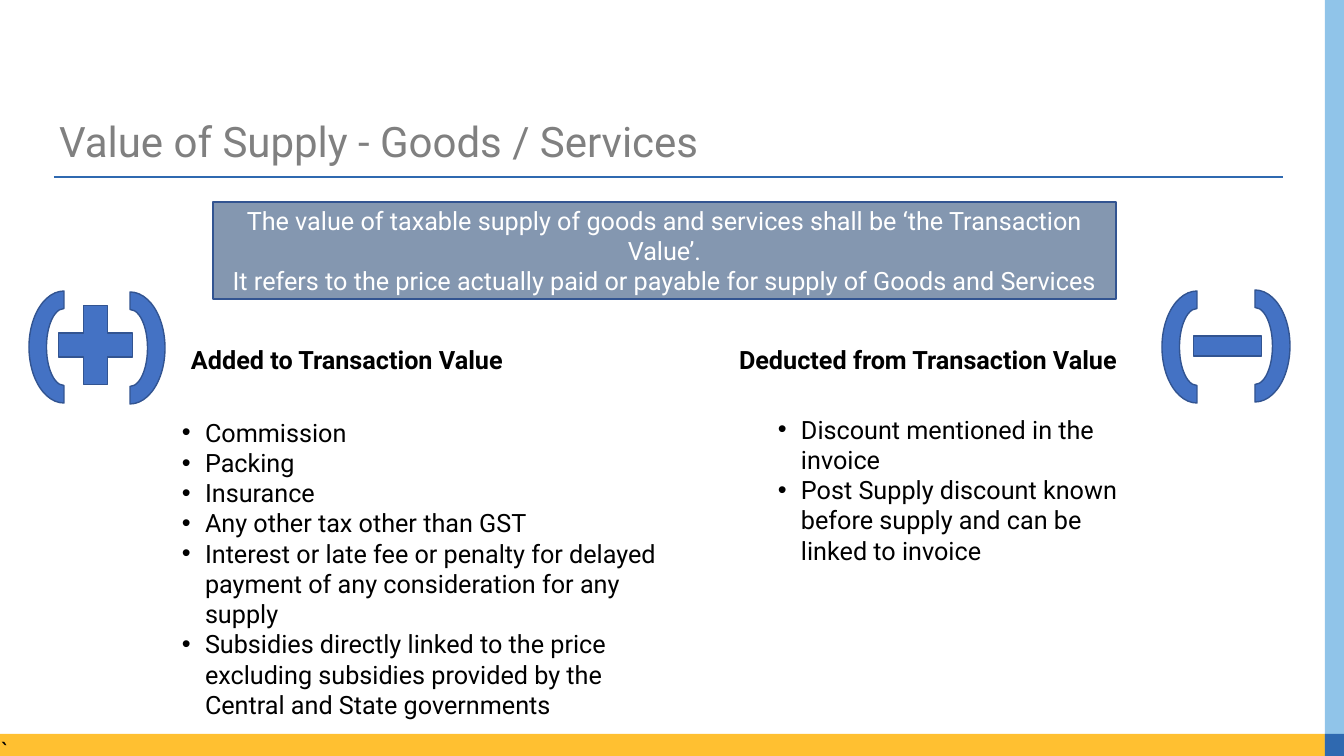
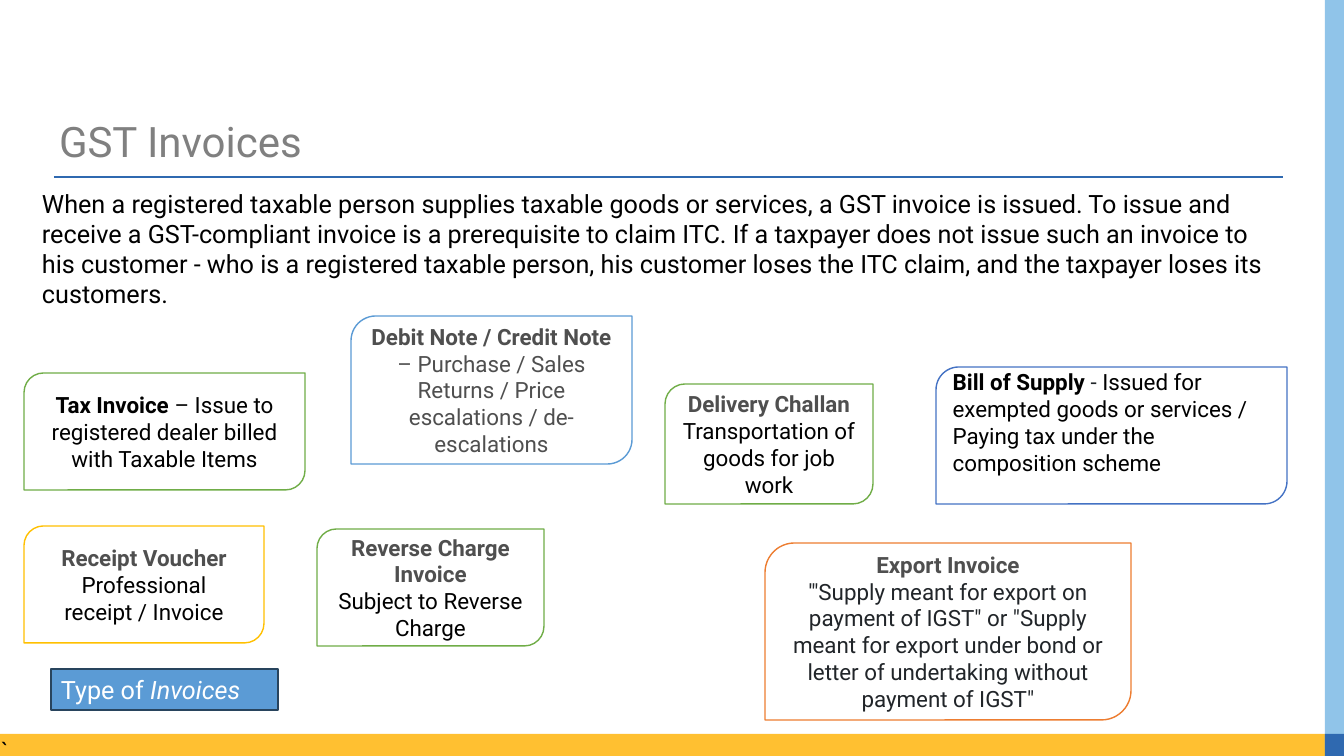
from lxml import etree
from pptx import Presentation
from pptx import util as u
from pptx.dml.color import RGBColor
from pptx.enum import shapes, text
from pptx.oxml.ns import qn

PX = 914400 / 100.8
FONT = "Roboto"
BLACK = RGBColor(0x00, 0x00, 0x00)
WHITE = RGBColor(0xFF, 0xFF, 0xFF)
GREY = RGBColor(0x80, 0x80, 0x80)
DARK = RGBColor(0x4F, 0x4F, 0x4F)
INK = RGBColor(0x21, 0x25, 0x29)
SLATE = RGBColor(0x84, 0x97, 0xB0)
BLUE = RGBColor(0x44, 0x72, 0xC4)
BLUE_EDGE = RGBColor(0x32, 0x54, 0x91)
SKY = RGBColor(0x5B, 0x9B, 0xD5)
SKY_EDGE = RGBColor(0x28, 0x44, 0x5D)
GREEN = RGBColor(0x70, 0xAD, 0x47)
ORANGE = RGBColor(0xED, 0x7D, 0x31)
GOLD = RGBColor(0xFF, 0xC0, 0x00)
BAND_GOLD = RGBColor(0xFF, 0xC0, 0x31)
BAND_SKY = RGBColor(0x90, 0xC4, 0xE9)
BAND_BLUE = RGBColor(0x2F, 0x69, 0xB0)

SHAPE = shapes.MSO_SHAPE
LEFT, CENTER = text.PP_ALIGN.LEFT, text.PP_ALIGN.CENTER
TOP, MIDDLE = text.MSO_ANCHOR.TOP, text.MSO_ANCHOR.MIDDLE
INSETS = (10, 5, 10, 5)

# Boxes are left, top, width, height in px.
TITLE_BOX = (49, 119, 1230, 50)
RULE = (54, 177, 1283, 177)
FOOTER_BAND = (0, 734, 1336, 22)
SIDE_BAND = (1325, 0, 19, 749)
CORNER = (1325, 734, 19, 22)

DEFINITION_BOX = (213, 202, 903, 97)
DEFINITION = [
    "The value of taxable supply of goods and services shall be ‘the Transaction Value’.",
    "It refers to the price actually paid or payable for supply of Goods and Services",
]
COLUMNS = [
    dict(heading="Added to Transaction Value", heading_box=(181, 339, 352, 40),
         list_box=(172, 412, 510, 316),
         items=["Commission", "Packing", "Insurance", "Any other tax other than GST",
                "Interest or late fee or penalty for delayed payment of any "
                "consideration for any supply",
                "Subsidies directly linked to the price excluding subsidies provided "
                "by the Central and State governments"],
         sign=SHAPE.MATH_PLUS, sign_box=(45, 291, 101, 108),
         brackets=[(8, 312), (74, 313)]),
    dict(heading="Deducted from Transaction Value", heading_box=(729, 339, 401, 40),
         list_box=(768, 409, 390, 163),
         items=["Discount mentioned in the invoice",
                "Post Supply discount known before supply and can be linked to invoice"],
         sign=SHAPE.MATH_MINUS, sign_box=(1181, 304, 93, 84),
         brackets=[(1141, 312), (1199, 311)]),
]
BRACKET_SIZE = (112, 70)

INTRO_BOX = (32, 183, 1247, 124)
INTRO = (
    "When a registered taxable person supplies taxable goods or services, a GST invoice "
    "is issued. To issue and receive a GST-compliant invoice is a prerequisite to claim "
    "ITC. If a taxpayer does not issue such an invoice to his customer - who is a "
    "registered taxable person, his customer loses the ITC claim, and the taxpayer "
    "loses its customers."
)
BOLD = dict(bold=True)
BOLD_DARK = dict(bold=True, color=DARK)
# Box, edge colour, paragraphs (each a list of runs), extra text format.
INVOICES = [
    ((24, 373, 281, 117), GREEN,
     [[("Tax Invoice ", BOLD),
       ("– Issue to registered dealer billed with Taxable Items", {})]], {}),
    ((936, 367, 351, 137), BLUE,
     [[("Bill of Supply\u00a0", BOLD), ("- ", dict(color=INK)),
       ("Issued for exempted goods or services / Paying tax under\u00a0the "
        "composition scheme", {})]],
     dict(align=LEFT, insets=(10, 5, 10, 32))),
    ((351, 316, 281, 148), SKY,
     [[("Debit Note / Credit Note ", BOLD_DARK),
       ("– Purchase / Sales Returns / Price escalations / de-escalations",
        dict(color=DARK))]], {}),
    ((765, 543, 366, 177), ORANGE,
     [[("Export Invoice", BOLD_DARK)],
      [("'\"Supply meant for export on payment of IGST\" or \"Supply meant for export "
        "under bond or letter of undertaking without payment of IGST\"",
        dict(color=INK))]], {}),
    ((24, 526, 240, 117), GOLD,
     [[("Receipt Voucher", BOLD_DARK)], [("Professional receipt / Invoice", {})]], {}),
    ((317, 529, 227, 117), GREEN,
     [[("Reverse Charge Invoice", BOLD_DARK)], [("Subject to Reverse Charge", {})]], {}),
    ((665, 384, 208, 120), GREEN,
     [[("Delivery Challan", BOLD_DARK)],
      [("Transportation of goods for job work", {})]], {}),
]
TYPE_BOX = (51, 669, 227, 41)
TYPE_LABEL = [[("Type of ", {}), ("Invoices", dict(italic=True))]]


def emu(*lengths):
    return [u.Emu(round(n * PX)) for n in lengths]


def add_bullet(p, indent=23):
    pPr = p._p.get_or_add_pPr()
    width = emu(indent)[0]
    pPr.set("marL", str(width))
    pPr.set("indent", str(-width))
    etree.SubElement(pPr, qn("a:buFont")).set("typeface", "Arial")
    etree.SubElement(pPr, qn("a:buChar")).set("char", "•")


def write(sp, paragraphs, size=18, color=BLACK, bold=False, font=FONT, align=LEFT,
          anchor=TOP, bullets=False, spacing=None, insets=INSETS):
    """Fill a shape; a paragraph is a string or a list of (text, format) runs."""
    tf = sp.text_frame
    tf.word_wrap = True
    tf.auto_size = text.MSO_AUTO_SIZE.NONE
    tf.vertical_anchor = anchor
    tf.margin_left, tf.margin_top, tf.margin_right, tf.margin_bottom = emu(*insets)
    for i, runs in enumerate(paragraphs):
        p = tf.add_paragraph() if i else tf.paragraphs[0]
        p.alignment = align
        if spacing:
            p.line_spacing = spacing
        if bullets:
            add_bullet(p)
        for words, fmt in [(runs, {})] if isinstance(runs, str) else runs:
            r = p.add_run()
            r.text = words
            r.font.name = font
            r.font.size = u.Pt(size)
            r.font.bold = fmt.get("bold", bold)
            r.font.italic = fmt.get("italic", False)
            r.font.color.rgb = fmt.get("color", color)


def add_shape(s, kind, box, fill, edge=None, rotation=0):
    sp = s.shapes.add_shape(kind, *emu(*box))
    sp.shadow.inherit = False
    sp.rotation = rotation
    sp.fill.solid()
    sp.fill.fore_color.rgb = fill
    if edge is None:
        sp.line.fill.background()
    else:
        sp.line.color.rgb = edge
        sp.line.width = u.Pt(1)
    return sp


def add_text(s, box, paragraphs, **fmt):
    write(s.shapes.add_textbox(*emu(*box)), paragraphs, **fmt)


def new_slide(prs, title):
    """Add a slide with the shared rule, bands and title."""
    s = prs.slides.add_slide(prs.slide_layouts[5])
    rule = s.shapes.add_connector(shapes.MSO_CONNECTOR.STRAIGHT, *emu(*RULE))
    rule.line.color.rgb = BAND_BLUE
    rule.line.width = u.Pt(0.82)
    etree.SubElement(rule._element.spPr, qn("a:effectLst"))
    footer = add_shape(s, SHAPE.RECTANGLE, FOOTER_BAND, BAND_GOLD)
    write(footer, ["`"], font="Calibri", insets=(0, 0, 0, 0))
    add_shape(s, SHAPE.RECTANGLE, SIDE_BAND, BAND_SKY)
    add_shape(s, SHAPE.RECTANGLE, CORNER, BAND_BLUE)
    heading = s.shapes.title
    heading.left, heading.top, heading.width, heading.height = emu(*TITLE_BOX)
    write(heading, [title], size=30, color=GREY, anchor=MIDDLE, spacing=0.9)
    return s


def build_value_slide(prs):
    s = new_slide(prs, "Value of Supply - Goods / Services")
    sp = add_shape(s, SHAPE.RECTANGLE, DEFINITION_BOX, SLATE, BLUE_EDGE)
    write(sp, DEFINITION, color=WHITE, align=CENTER, anchor=MIDDLE)
    for column in COLUMNS:
        add_text(s, column["heading_box"], [column["heading"]], bold=True)
        add_text(s, column["list_box"], column["items"], bullets=True)
        add_shape(s, column["sign"], column["sign_box"], BLUE, BLUE_EDGE)
        for corner, rotation in zip(column["brackets"], (270, 90)):
            add_shape(s, SHAPE.BLOCK_ARC, corner + BRACKET_SIZE, BLUE, BLUE_EDGE, rotation)


def build_invoice_slide(prs):
    s = new_slide(prs, "GST Invoices")
    add_text(s, INTRO_BOX, [INTRO])
    for box, edge, paragraphs, fmt in INVOICES:
        sp = add_shape(s, SHAPE.ROUND_2_DIAG_RECTANGLE, box, WHITE, edge)
        write(sp, paragraphs, **{**dict(size=16, align=CENTER, anchor=MIDDLE), **fmt})
    sp = add_shape(s, SHAPE.RECTANGLE, TYPE_BOX, SKY, SKY_EDGE)
    write(sp, TYPE_LABEL, color=WHITE)


def main():
    prs = Presentation()
    prs.slide_width, prs.slide_height = emu(1344, 756)
    build_value_slide(prs)
    build_invoice_slide(prs)
    prs.save("out.pptx")


if __name__ == "__main__":
    main()
